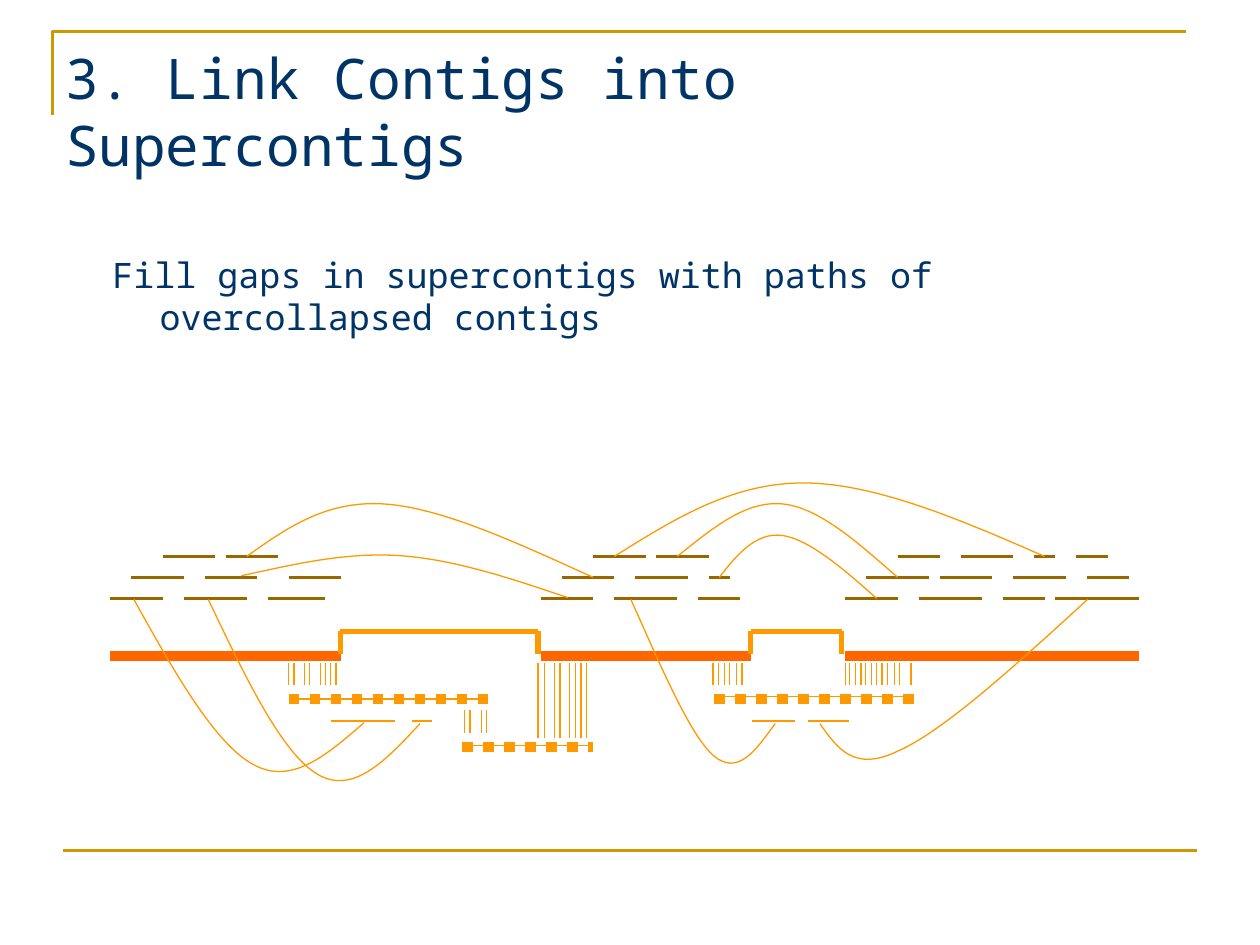
"""Build the slide on linking contigs into supercontigs."""
from lxml.etree import SubElement
from pptx import Presentation
from pptx.dml.color import RGBColor
from pptx.enum.dml import MSO_LINE_DASH_STYLE as Dash
from pptx.enum.shapes import MSO_CONNECTOR as Connector
from pptx.enum.text import MSO_ANCHOR as Anchor, MSO_AUTO_SIZE as AutoSize, PP_ALIGN as Align
from pptx.oxml.ns import qn
from pptx.util import Pt

NAVY = RGBColor(0x00, 0x33, 0x66)
GOLD = RGBColor(0xCC, 0x99, 0x00)
BROWN = RGBColor(0x99, 0x66, 0x00)
ORANGE = RGBColor(0xFF, 0x99, 0x00)
RED_ORANGE = RGBColor(0xFF, 0x66, 0x00)
FONT = "Noto Sans Mono"

READ_ROWS = {
    342: [(63, 93), (105, 141), (153, 186), (309, 339), (351, 387), (399, 423),
          (483, 513), (525, 561), (573, 597), (603, 651)],
    330: [(75, 105), (117, 147), (165, 195), (321, 351), (363, 393), (405, 417),
          (495, 531), (537, 567), (579, 609), (621, 645)],
    318: [(93, 123), (129, 159), (339, 369), (375, 405), (513, 537), (549, 579),
          (591, 603), (615, 633)],
}
SUPERCONTIGS = [(63, 195), (309, 429), (483, 651)]
BRACKETS = [(194.5, 307.5), (429, 481)]
GAP_READS = [(189, 225.5), (235.5, 247), (430, 454.5), (461.5, 485)]
GAP_CONTIGS = [
    (165, 279, 399.5, 168, 399.5),
    (408, 522, 399.5, 409.5, 398),
    (264, 339, 427, 265.5, 426),
]
OVERLAPS = [
    (379, 391.5, [165, 168, 174, 177, 183, 186, 189, 192]),
    (379, 422, [307.5, 311, 317, 320, 325.5, 329, 332, 335]),
    (406, 419, [265.5, 268.5, 275, 278]),
    (379, 391.5, [407.5, 410.5, 414, 417, 421, 424]),
    (379, 391.5, [483, 485.5, 489, 492, 494.5, 498, 501, 504, 507, 511, 514, 520.5]),
]
MATE_LINKS = [
    [(387, 318), (407, 302), (426, 286), (447, 288), (468, 290), (490, 310), (513, 330)],
    [(411, 330), (421, 317), (432, 304), (447, 306), (462, 308), (482, 325), (501, 342)],
    [(138, 329), (168, 322.5), (197, 315.5), (228, 317.5), (259, 319.5), (292, 330.5), (324.5, 341.5)],
    [(141, 318), (163.5, 302), (186, 286), (219, 288), (252, 290), (295, 310), (339, 330)],
    [(351, 318), (384.5, 297), (418, 276), (459, 276), (500, 276), (549, 297), (597, 318)],
    [(76.5, 342.5), (99.5, 384), (123, 425.5), (145, 437), (167, 449), (187, 431), (208, 413)],
    [(119, 342.5), (140, 386.5), (161, 430.5), (181.5, 442.5), (202, 454.5), (221, 434), (240, 413.5)],
    [(621.5, 342.5), (580.5, 380), (539.5, 417.5), (513.5, 429), (488, 441.5), (478.5, 427.5), (468.5, 413.5)],
    [(360.5, 342.5), (378, 381.5), (394.5, 420.5), (408, 432), (422, 443.5), (432, 428.5), (443, 413.5)],
]

deck = Presentation()
deck.slide_width, deck.slide_height = Pt(720), Pt(540)
slide = deck.slides.add_slide(deck.slide_layouts[1])
shapes = slide.shapes


def add_line(x1, y1, x2, y2, color, width):
    line = shapes.add_connector(Connector.STRAIGHT, Pt(x1), Pt(y1), Pt(x2), Pt(y2))
    line.line.color.rgb = color
    line.line.width = Pt(width)
    SubElement(line.element.spPr, qn("a:effectLst"))
    return line


def add_outline(points, color, width):
    corners = [(Pt(x), Pt(y)) for x, y in points]
    builder = shapes.build_freeform(*corners[0])
    builder.add_line_segments(corners[1:], close=False)
    outline = builder.convert_to_shape()
    outline.fill.background()
    outline.line.color.rgb = color
    outline.line.width = Pt(width)
    outline.shadow.inherit = False
    return outline


add_outline([(30, 66), (30, 18), (678, 18)], GOLD, 1.5)
add_line(36, 486, 684, 486, GOLD, 1.5)

texts = [
    (shapes.title, "3. Link Contigs into Supercontigs", 32, (30, 18, 636, 90), Anchor.MIDDLE, 0),
    (slide.placeholders[1], "Fill gaps in supercontigs with paths of overcollapsed contigs",
     20, (57, 141, 630, 90), Anchor.TOP, 27),
]
for box, text, size, bounds, anchor, hanging in texts:
    box.left, box.top, box.width, box.height = map(Pt, bounds)
    frame = box.text_frame
    frame.text = text
    frame.word_wrap = True
    frame.auto_size = AutoSize.NONE
    frame.vertical_anchor = anchor
    para = frame.paragraphs[0]
    para.alignment = Align.LEFT
    para.space_before = Pt(0)
    properties = para._p.get_or_add_pPr()
    properties.set("marL", str(Pt(hanging)))
    properties.set("indent", str(-Pt(hanging)))
    SubElement(properties, qn("a:buNone"))
    para.font.name = FONT
    para.font.size = Pt(size)
    para.font.color.rgb = NAVY

for start, end in SUPERCONTIGS:
    add_line(start, 375, end, 375, RED_ORANGE, 6)

for y, reads in READ_ROWS.items():
    for start, end in reads:
        add_line(start, y, end, y, BROWN, 1.5)

for controls in MATE_LINKS:
    link = add_outline(controls, ORANGE, 0.75)
    route = next(link.element.iter(qn("a:path")))
    segments = route.findall(qn("a:lnTo"))
    for trio in (segments[:3], segments[3:]):
        bezier = SubElement(route, qn("a:cubicBezTo"))
        for segment in trio:
            bezier.append(segment[0])
            route.remove(segment)

for start, end in GAP_READS:
    add_line(start, 412, end, 412, ORANGE, 1.5)

for start, end, y, thin_start, thin_y in GAP_CONTIGS:
    add_line(thin_start, thin_y, end, thin_y, ORANGE, 0.75)
    add_line(start, y, end, y, ORANGE, 6).line.dash_style = Dash.ROUND_DOT

for left, right in BRACKETS:
    add_line(left, 373.5, left, 360.75, ORANGE, 3)
    add_line(left, 360.75, right, 360.75, ORANGE, 3)
    add_line(right, 373.5, right, 360.75, ORANGE, 3)

for top, bottom, positions in OVERLAPS:
    for x in positions:
        add_line(x, top, x, bottom, ORANGE, 0.75)

deck.save("out.pptx")
